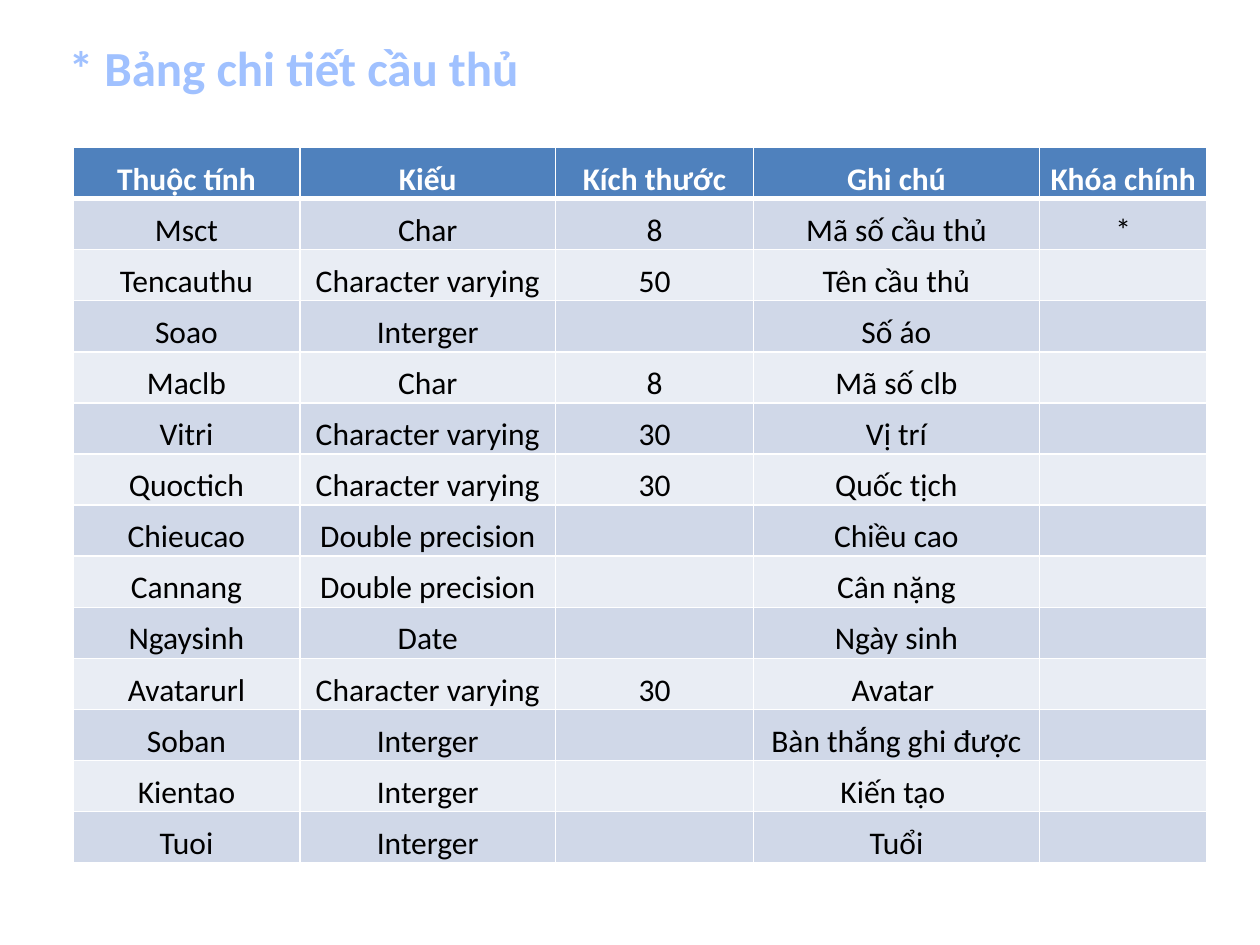
from dataclasses import dataclass

from lxml import etree
from pptx import Presentation
from pptx.dml.color import RGBColor
from pptx.enum.text import MSO_ANCHOR, MSO_AUTO_SIZE, PP_ALIGN
from pptx.oxml.ns import qn
from pptx.util import Inches, Pt

CENTER = PP_ALIGN.CENTER
BOTTOM = MSO_ANCHOR.BOTTOM
FIT_SHAPE = MSO_AUTO_SIZE.SHAPE_TO_FIT_TEXT


@dataclass(frozen=True)
class Theme:
    font: str = "Calibri"
    title_size: int = 28
    cell_size: int = 18
    title: str = "A0C1FF"
    header: str = "4F81BD"
    bands: tuple = ("E9EDF4", "D0D8E8")
    light: str = "FFFFFF"
    dark: str = "000000"
    border: int = 1
    header_border: int = 3


theme = Theme()


def style_paragraph(para, size, color, bold):
    para.alignment = CENTER
    para.font.name = theme.font
    para.font.size = Pt(size)
    para.font.bold = bold
    para.font.color.rgb = RGBColor.from_string(color)


def add_border(cell, side, points):
    line = etree.SubElement(cell._tc.get_or_add_tcPr(), qn(f"a:ln{side}"), w=str(Pt(points)))
    fill = etree.SubElement(line, qn("a:solidFill"))
    etree.SubElement(fill, qn("a:srgbClr"), val=theme.light)


headings = ("Thuộc tính", "Kiếu", "Kích thước", "Ghi chú", "Khóa chính")
attributes = (
    ("Msct", "Char", "8", "Mã số cầu thủ", "*"),
    ("Tencauthu", "Character varying", "50", "Tên cầu thủ", ""),
    ("Soao", "Interger", "", "Số áo", ""),
    ("Maclb", "Char", "8", "Mã số clb", ""),
    ("Vitri", "Character varying", "30", "Vị trí", ""),
    ("Quoctich", "Character varying", "30", "Quốc tịch", ""),
    ("Chieucao", "Double precision", "", "Chiều cao", ""),
    ("Cannang", "Double precision", "", "Cân nặng", ""),
    ("Ngaysinh", "Date", "", "Ngày sinh", ""),
    ("Avatarurl", "Character varying", "30", "Avatar ", ""),
    ("Soban", "Interger", "", "Bàn thắng ghi được", ""),
    ("Kientao", "Interger", "", "Kiến tạo ", ""),
    ("Tuoi", "Interger", "", "Tuổi", ""),
)
rows = (headings, *attributes)
column_widths = (1.8, 2.03, 1.57, 2.27, 1.33)

deck = Presentation()
deck.slide_width = Inches(10)
deck.slide_height = Inches(7.5)
page = deck.slides.add_slide(deck.slide_layouts[6])

table_height = Inches(5.68)
table = page.shapes.add_table(
    len(rows), len(headings), Inches(0.58), Inches(1.17),
    Inches(sum(column_widths)), table_height,
).table
for column, width in zip(table.columns, column_widths):
    column.width = Inches(width)
for row in table.rows:
    row.height = table_height // len(rows)

for row_index, texts in enumerate(rows):
    is_header = row_index == 0
    fill_color = theme.header if is_header else theme.bands[row_index % 2]
    text_color = theme.light if is_header else theme.dark
    for column_index, text in enumerate(texts):
        cell = table.cell(row_index, column_index)
        cell.margin_left = cell.margin_right = Inches(0.07)
        cell.margin_top = cell.margin_bottom = 0
        cell.vertical_anchor = BOTTOM
        for side in "LRTB":
            below_header = (row_index, side) in ((0, "B"), (1, "T"))
            add_border(cell, side, theme.header_border if below_header else theme.border)
        cell.fill.solid()
        cell.fill.fore_color.rgb = RGBColor.from_string(fill_color)
        cell.text = text
        para = cell.text_frame.paragraphs[0]
        para.line_spacing = 1.15
        style_paragraph(para, theme.cell_size, text_color, is_header)

title_box = page.shapes.add_textbox(Inches(0.42), Inches(0.25), Inches(3.82), Inches(0.57))
title_frame = title_box.text_frame
title_frame.word_wrap = False
title_frame.auto_size = FIT_SHAPE
title_frame.text = "* Bảng chi tiết cầu thủ"
style_paragraph(title_frame.paragraphs[0], theme.title_size, theme.title, True)

deck.save("out.pptx")
